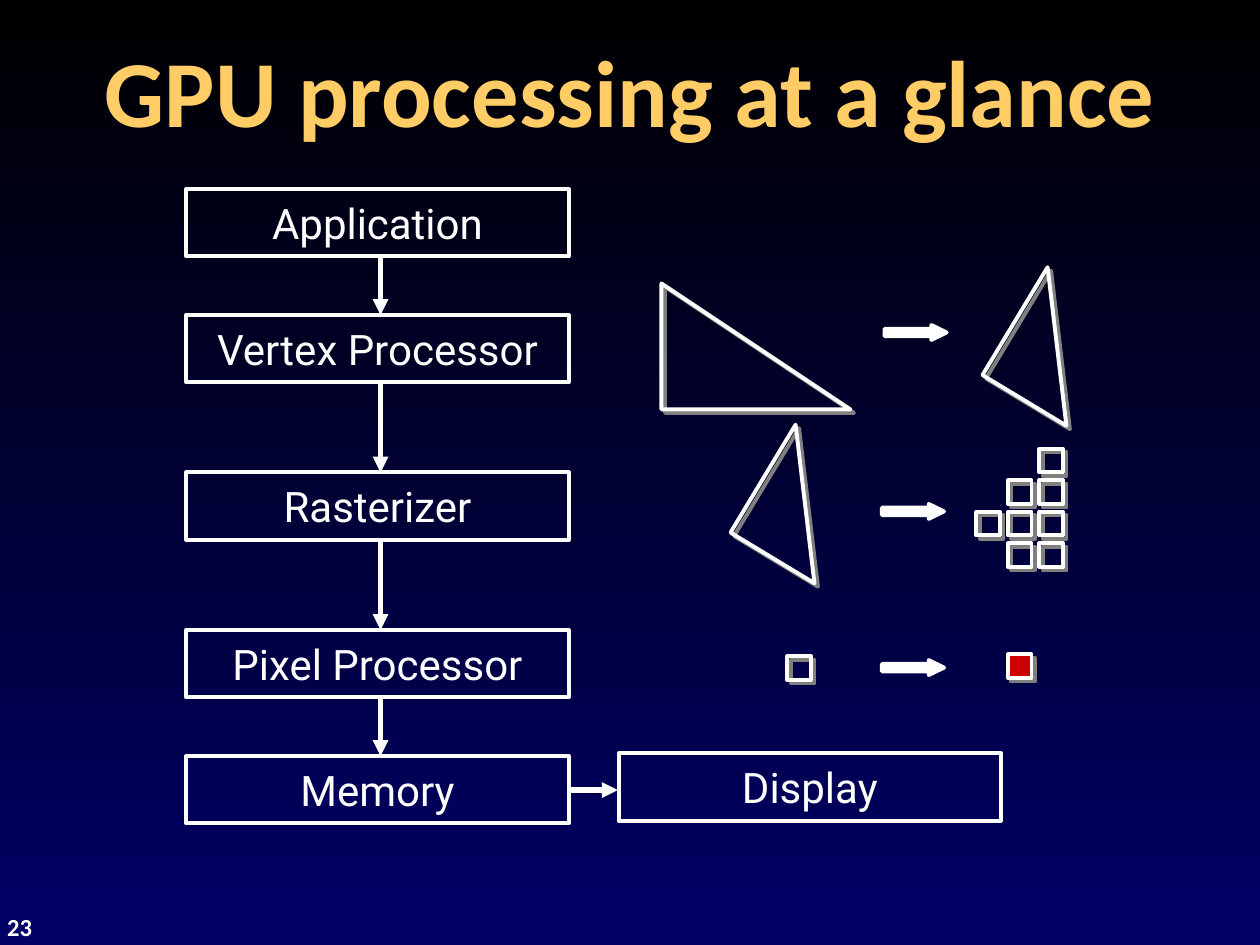
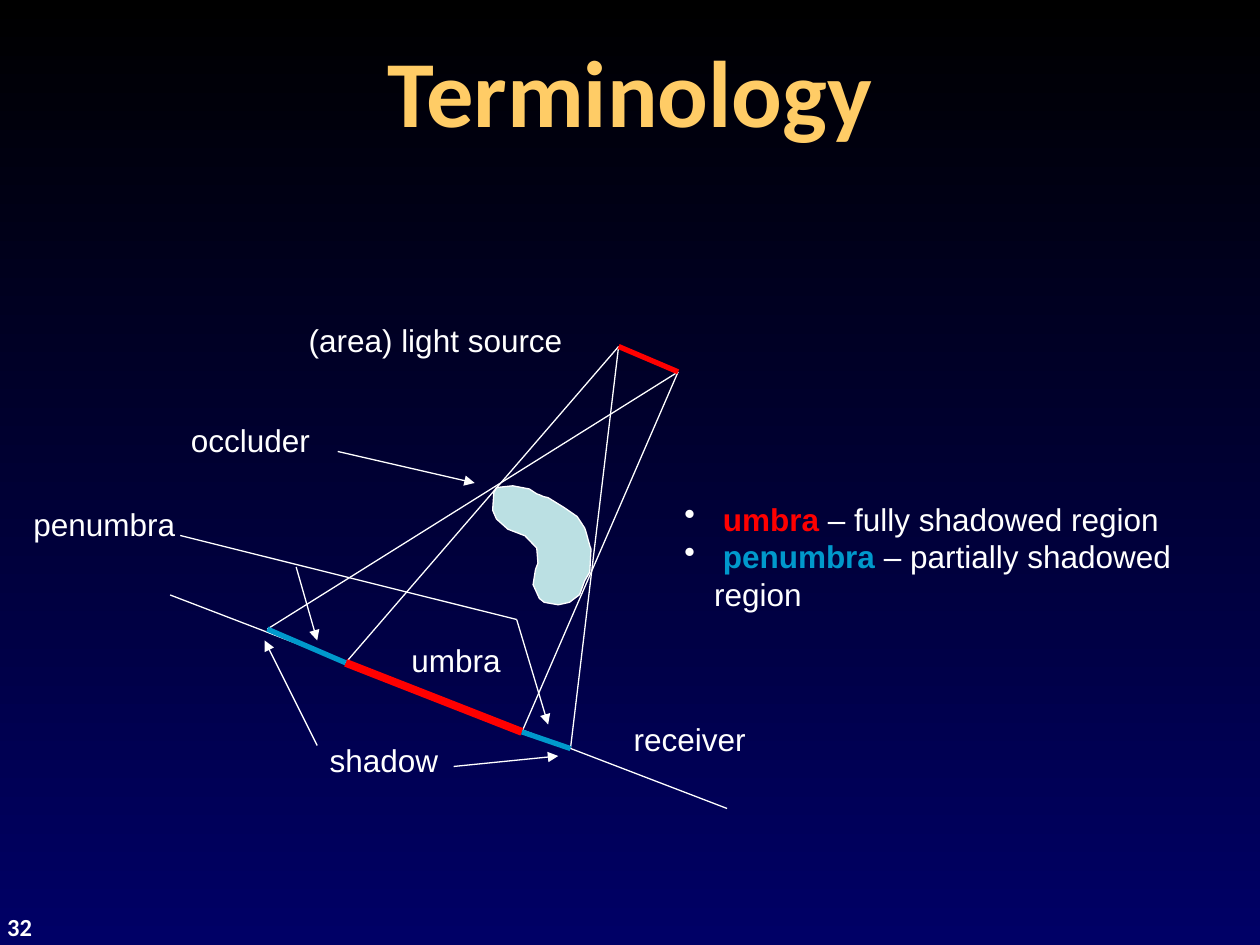
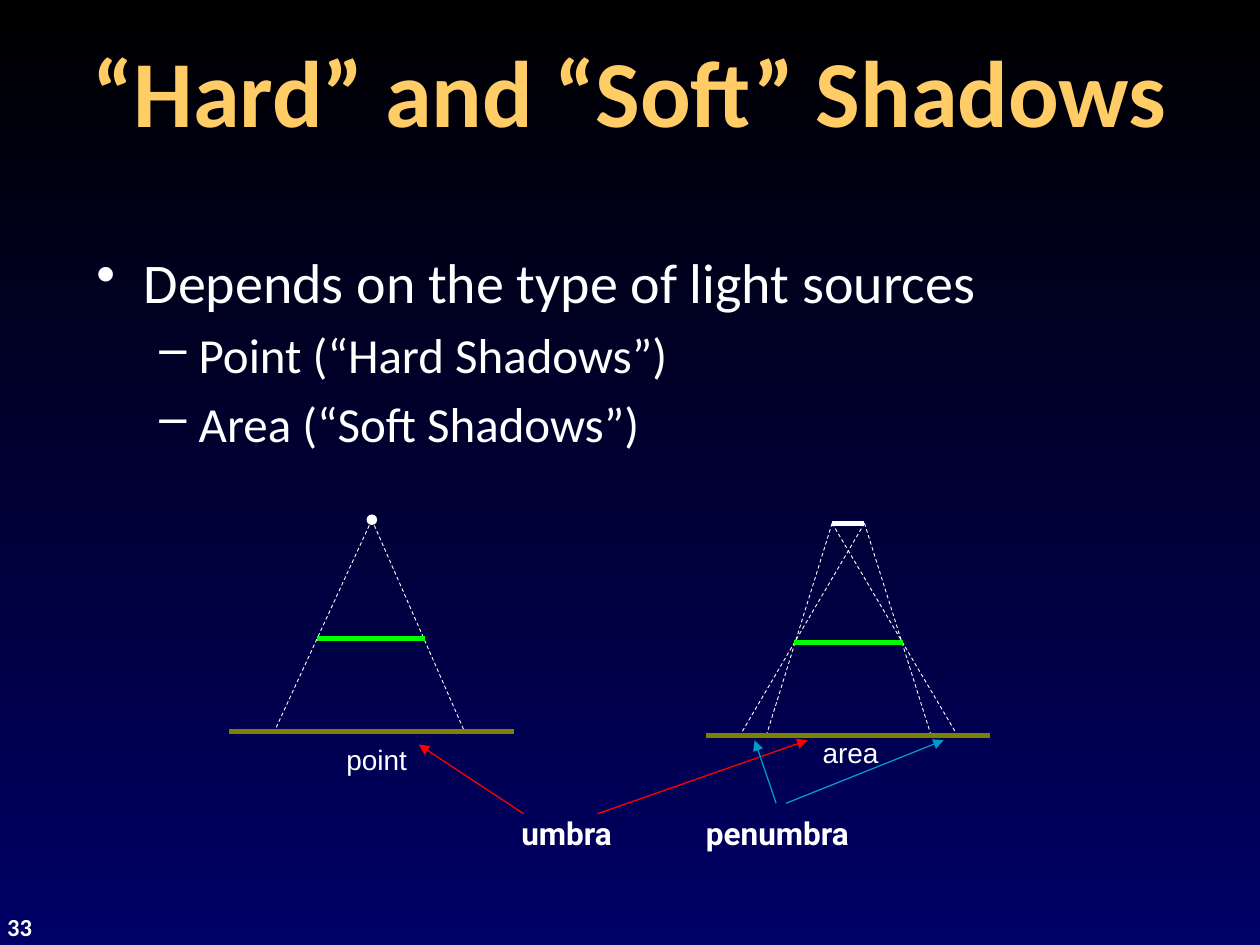
"""Build three slides on GPU processing and shadow terminology."""
import lxml.etree
import pptx
import pptx.dml.color
import pptx.enum.dml
import pptx.enum.shapes
import pptx.enum.text
import pptx.oxml.ns
import pptx.util

Pt = pptx.util.Pt
RGB = pptx.dml.color.RGBColor.from_string
SHAPE = pptx.enum.shapes.MSO_SHAPE
ALIGN = pptx.enum.text.PP_ALIGN
qn = pptx.oxml.ns.qn
COLORS = {
    "black": "000000", "navy": "000066", "gold": "FFCC66", "white": "FFFFFF",
    "red": "FF0000", "crimson": "CC0000", "blue": "0099CC", "green": "00FF00",
    "olive": "808000", "ice": "BBE0E3", "gray": "808080",
}


def write(frame, text, size=18, font="Arial", color="white", bold=False, align=ALIGN.LEFT,
          wrap=True, term="", term_color="white", bullet="", indent=0, hang=0, level=0, before=0):
    """Add a paragraph to the frame, with an optional highlighted term."""
    frame.word_wrap = wrap
    paragraph = frame.add_paragraph() if frame.text else frame.paragraphs[0]
    paragraph.alignment = align
    paragraph.level = level
    if before:
        paragraph.space_before = Pt(before)
    if bullet:
        properties = paragraph._p.get_or_add_pPr()
        properties.set("marL", str(Pt(indent)))
        properties.set("indent", str(-Pt(hang)))
        lxml.etree.SubElement(properties, qn("a:buChar")).set("char", bullet)
    for part in text.partition(term) if term else [text]:
        run = paragraph.add_run()
        run.text = part
        run.font.size = Pt(size)
        run.font.name = font
        run.font.bold = bold or part == term
        run.font.color.rgb = RGB(COLORS[term_color if part == term else color])


def draw_line(slide, start, end, color="white", width=0.75, arrow=False, dashed=False):
    """Draw a straight line between two points."""
    line = slide.shapes.add_connector(
        pptx.enum.shapes.MSO_CONNECTOR.STRAIGHT, *map(Pt, (*start, *end)))
    line.line.color.rgb = RGB(COLORS[color])
    line.line.width = Pt(width)
    if dashed:
        line.line.dash_style = pptx.enum.dml.MSO_LINE.DASH
    properties = line._element.spPr
    if arrow:
        lxml.etree.SubElement(properties.get_or_add_ln(), qn("a:tailEnd")).set("type", "triangle")
    lxml.etree.SubElement(properties, qn("a:effectLst"))


deck = pptx.Presentation()
deck.slide_width, deck.slide_height = Pt(720), Pt(540)

backdrop = deck.slide_master.background.fill
backdrop.gradient()
backdrop.gradient_angle = 270
for stop, shade in zip(backdrop.gradient_stops, ("black", "navy")):
    stop.color.rgb = RGB(COLORS[shade])
    stop.position = 0 if shade == "black" else 1

slides = []
for number, heading in [("23", "GPU processing at a glance"), ("32", "Terminology"),
                        ("33", "“Hard” and “Soft” Shadows")]:
    slide = deck.slides.add_slide(deck.slide_layouts[5])
    title = slide.shapes.title
    title.left, title.top, title.width, title.height = map(Pt, (12, 12, 696, 78))
    title.text_frame.auto_size = pptx.enum.text.MSO_AUTO_SIZE.NONE
    title.text_frame.vertical_anchor = pptx.enum.text.MSO_ANCHOR.MIDDLE
    write(title.text_frame, heading, size=54, font="Calibri", color="gold", bold=True,
          align=ALIGN.CENTER)
    page = slide.shapes.add_textbox(*map(Pt, (-3, 517.5, 47.5, 24)))
    write(page.text_frame, number, size=14, font="Calibri", bold=True)
    slides.append(slide)
pipeline, terminology, shadow_types = slides

stage_left, stage_width, stage_height = 106.5, 218.5, 38.5
stages = [("Application", 108), ("Vertex Processor", 180), ("Rasterizer", 270),
          ("Pixel Processor", 360), ("Memory", 432)]
for name, left, top in [(name, stage_left, top) for name, top in stages] + [("Display", 353.5, 430.5)]:
    stage = pipeline.shapes.add_shape(SHAPE.RECTANGLE, *map(Pt, (left, top, stage_width, stage_height)))
    stage.shadow.inherit = False
    stage.fill.background()
    stage.line.color.rgb = RGB(COLORS["white"])
    stage.line.width = Pt(2.25)
    write(stage.text_frame, name, size=24, font="Roboto", align=ALIGN.CENTER)
for (_, top), (_, next_top) in zip(stages, stages[1:]):
    draw_line(pipeline, (217.5, top + stage_height), (217.5, next_top), width=3, arrow=True)
draw_line(pipeline, (325, 451.5), (353, 451.5), width=3, arrow=True)

pixel, step, triangle = (13.5, 13.5), (35.5, 8.5), (56, 72)
fragments = [(3, 0), (2, 1), (3, 1), (1, 2), (2, 2), (3, 2), (2, 3), (3, 3)]
sketches = [
    (SHAPE.RIGHT_TRIANGLE, 378, 162, (108, 72), 0, None),
    (SHAPE.RIGHT_TRIANGLE, 576, 162, triangle, 31.1, None),
    (SHAPE.RIGHT_TRIANGLE, 432, 252, triangle, 31.1, None),
    (SHAPE.RECTANGLE, 450, 375, pixel, 0, None),
    (SHAPE.RECTANGLE, 576, 374, pixel, 0, "crimson"),
    (SHAPE.RIGHT_ARROW, 505.5, 185.75, step, 0, "white"),
    (SHAPE.RIGHT_ARROW, 504, 288, step, 0, "white"),
    (SHAPE.RIGHT_ARROW, 504, 377.25, step, 0, "white"),
] + [(SHAPE.RECTANGLE, 540 + 18 * column, 256.5 + 18 * row, pixel, 0, None)
     for column, row in fragments]
for kind, left, top, size, rotation, fill in sketches:
    sketch = pipeline.shapes.add_shape(kind, *map(Pt, (left, top, *size)))
    sketch.rotation = rotation
    sketch.shadow.inherit = False
    sketch.line.color.rgb = RGB(COLORS["white"])
    sketch.line.width = Pt(2.25)
    if fill:
        sketch.fill.solid()
        sketch.fill.fore_color.rgb = RGB(COLORS[fill])
    else:
        sketch.fill.background()
    if kind == SHAPE.RIGHT_ARROW:
        sketch.adjustments[1] = 1.03
    else:
        effects = sketch._element.spPr.find(qn("a:effectLst"))
        shadow = lxml.etree.SubElement(effects, qn("a:outerShdw"), dist=str(Pt(2.8)),
                                       dir="2700000", algn="ctr", rotWithShape="0")
        lxml.etree.SubElement(shadow, qn("a:srgbClr"), val=COLORS["gray"])

occluder_outline = [
    (283.7, 278.6), (293, 277.6), (302.4, 279.4), (306.7, 282.2), (308.9, 283), (310.3, 283.7),
    (313.2, 284.4), (322.6, 290.2), (329.8, 295.2), (334.1, 301.7), (334.8, 303.8), (337, 311.8),
    (337.7, 313.9), (337, 326.9), (334.1, 331.9), (331.2, 339.8), (325.4, 344.2), (319, 345.6),
    (311, 344.2), (308.2, 342), (304.6, 334.1), (306, 325.4), (307.4, 321.8), (306.7, 313.2),
    (300, 306.2), (290.2, 302.4), (283.7, 296.6), (281.5, 291.6), (282.2, 281.5),
]
first, *others = [(Pt(x), Pt(y)) for x, y in occluder_outline]
builder = terminology.shapes.build_freeform(*first)
builder.add_line_segments(others, close=True)
occluder = builder.convert_to_shape()
occluder.shadow.inherit = False
occluder.fill.solid()
occluder.fill.fore_color.rgb = RGB(COLORS["ice"])
occluder.line.color.rgb = RGB(COLORS["white"])
occluder.line.width = Pt(0.75)

light_left, light_right = (353.5, 198), (387.5, 212.5)
shadow_start, umbra_start = (152.75, 359.5), (197.5, 378.75)
umbra_end, shadow_end = (298.25, 418.25), (326, 427.75)
draw_line(terminology, (97.25, 340), (415.5, 462))
for light, ground in [(light_left, umbra_start), (light_left, shadow_end),
                      (light_right, shadow_start), (light_right, umbra_end)]:
    draw_line(terminology, light, ground)
for start, end, color, width in [(light_left, light_right, "red", 3),
                                 (umbra_start, umbra_end, "red", 4.5),
                                 (umbra_start, shadow_start, "blue", 3),
                                 (umbra_end, shadow_end, "blue", 3)]:
    draw_line(terminology, start, end, color, width)
draw_line(terminology, (103, 306), (295.25, 354))
for start, end in [((181.25, 426), (151.25, 366)), ((259.25, 438), (319, 432)),
                   ((193, 258), (271.25, 276)), ((169.25, 324), (181.25, 366)),
                   ((295.25, 354), (313.25, 414))]:
    draw_line(terminology, start, end, arrow=True)
for label, left, top, width in [("(area) light source", 169.25, 180, 160), ("receiver", 355, 408, 83.5),
                                ("shadow", 181.25, 420, 76.5), ("occluder", 102, 237, 83),
                                ("umbra", 228, 363, 65.5), ("penumbra", 12, 285, 96)]:
    caption = terminology.shapes.add_textbox(*map(Pt, (left, top, width, 29)))
    write(caption.text_frame, label, wrap=False)
definitions = terminology.shapes.add_textbox(*map(Pt, (384, 282, 337, 50.5))).text_frame
for term, meaning, color in [("umbra", "fully shadowed region", "red"),
                             ("penumbra", "partially shadowed region", "blue")]:
    write(definitions, f" {term} – {meaning}", term=term, term_color=color,
          bullet="•", indent=17, hang=17)

sources = shadow_types.shapes.add_textbox(*map(Pt, (48, 138, 612, 156))).text_frame
write(sources, "Depends on the type of light sources", size=32, font="Calibri",
      bullet="•", indent=27, hang=27)
for source in ("Point (“Hard Shadows”)", "Area (“Soft Shadows”)"):
    write(sources, source, size=28, font="Calibri", bullet="–", indent=58.5, hang=22.5,
          level=1, before=5.6)

point_light, area_left, area_right = (212.5, 297), (475.5, 299), (494, 299)
for light, ground in [(area_right, (423, 420)), (area_left, (547, 420)), (area_right, (532, 420)),
                      (area_left, (438, 420)), (point_light, (157.25, 417)),
                      (point_light, (265, 417))]:
    draw_line(shadow_types, light, ground, width=0.5, dashed=True)
for left, right, y, color in [(475.5, 494, 299, "white"), (453.75, 515.75, 367, "green"),
                              (403.5, 566, 420.25, "olive"), (131, 293.5, 418, "olive"),
                              (181.25, 243, 365, "green")]:
    draw_line(shadow_types, (left, y), (right, y), color, 3)
bulb = shadow_types.shapes.add_shape(SHAPE.OVAL, *map(Pt, (209.5, 294, 6, 6)))
bulb.shadow.inherit = False
bulb.fill.solid()
bulb.fill.fore_color.rgb = RGB(COLORS["white"])
bulb.line.fill.background()
for start, end, color in [((341.5, 465), (461.5, 423), "red"), ((449.25, 459), (539.25, 423), "blue"),
                          ((299.25, 465), (239.25, 425.5), "red"), ((443.5, 459), (431.25, 423), "blue")]:
    draw_line(shadow_types, start, end, color, arrow=True)
for label, left, top, width, style in [
        ("point", 125.25, 420.5, 180, {"size": 16}),
        ("area", 396, 417, 180, {"size": 16}),
        ("umbra", 287.25, 461.5, 73, {"font": "Roboto", "bold": True, "wrap": False}),
        ("penumbra", 391, 461.5, 106.5, {"font": "Roboto", "bold": True, "wrap": False})]:
    caption = shadow_types.shapes.add_textbox(*map(Pt, (left, top, width, 27)))
    write(caption.text_frame, label, align=ALIGN.CENTER, **style)

deck.save("out.pptx")
